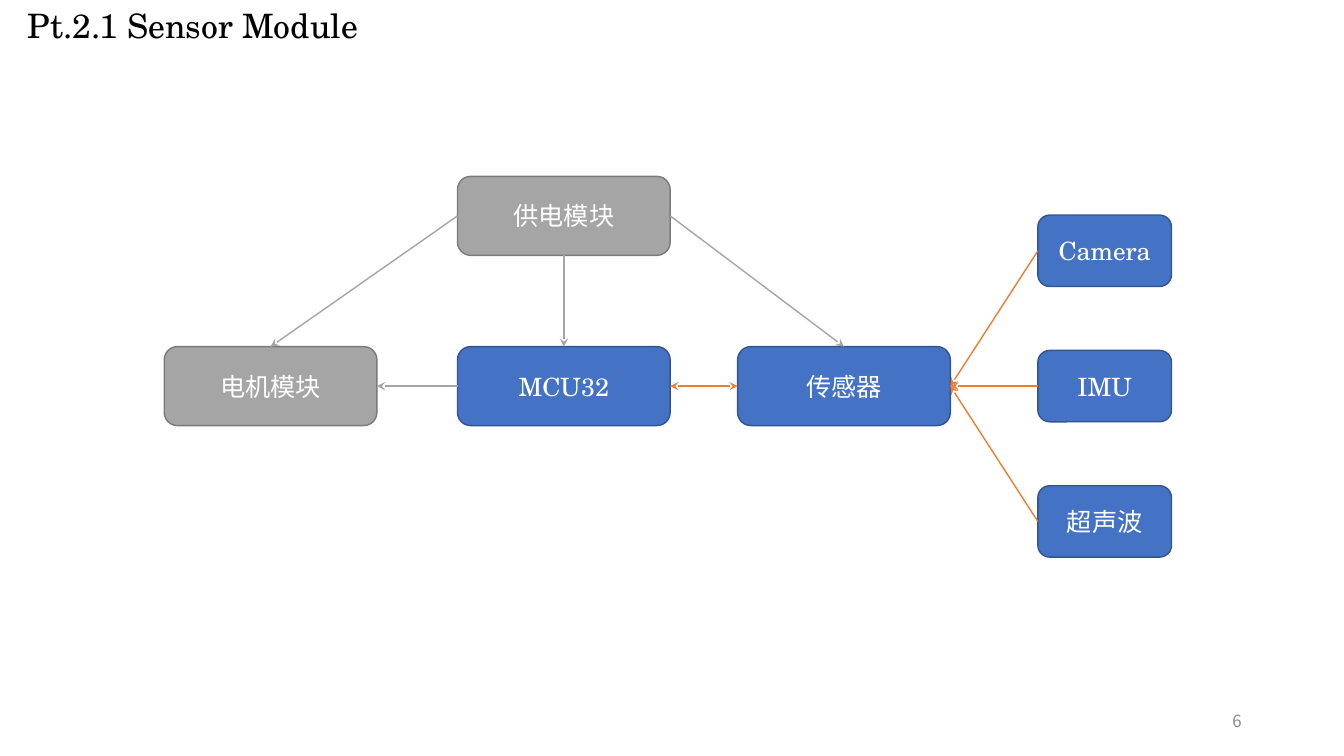
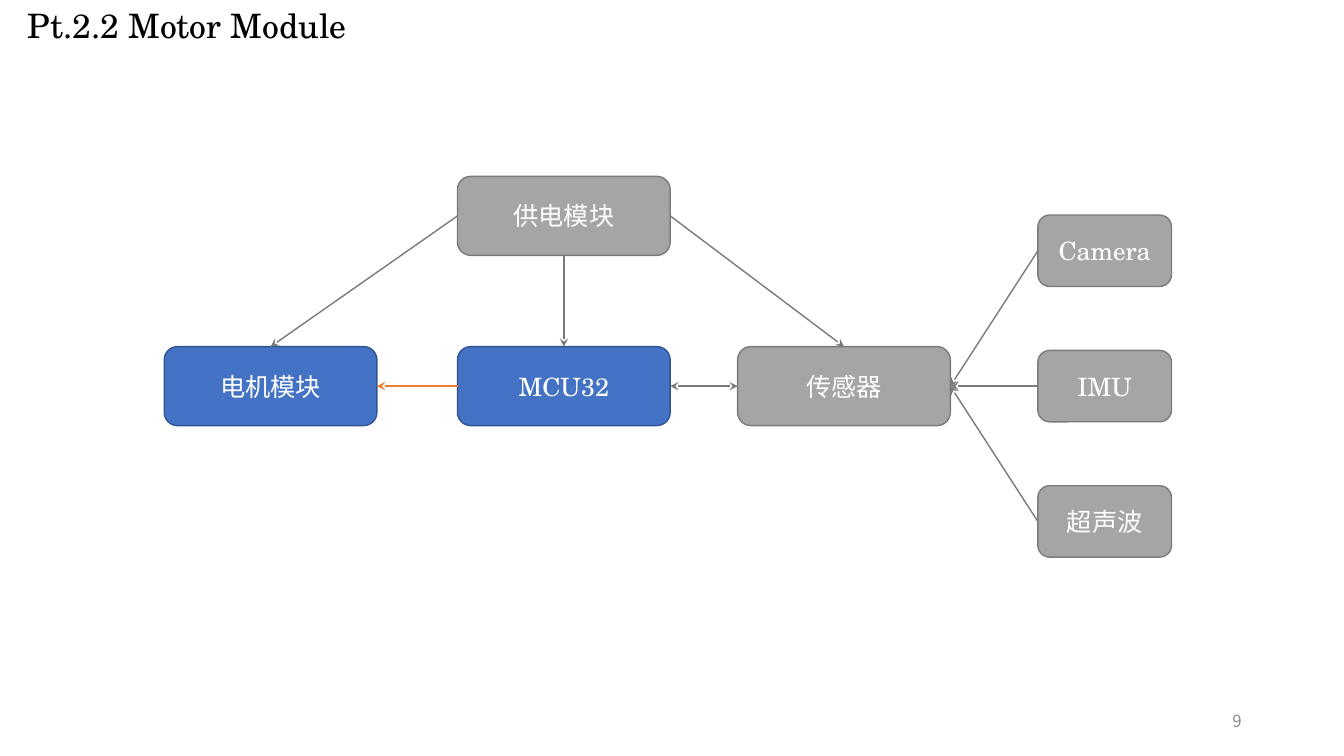
from lxml import etree
from pptx import Presentation
from pptx.dml.color import RGBColor
from pptx.enum import shapes, text
from pptx.oxml import ns
from pptx.util import Cm, Pt

# Shared look
BLUE = RGBColor(0x44, 0x72, 0xC4)
NAVY = RGBColor(0x32, 0x54, 0x91)
GREY = RGBColor(0xA5, 0xA5, 0xA5)
DARK = RGBColor(0x7A, 0x7A, 0x7A)
ORANGE = RGBColor(0xED, 0x7D, 0x31)
WHITE = RGBColor(0xFF, 0xFF, 0xFF)
BLACK = RGBColor(0x00, 0x00, 0x00)
PALE = RGBColor(0x8C, 0x8C, 0x8C)
SERIF = "TeX Gyre Schola"
SANS = "Noto Sans CJK SC"

# Connection sites of a rounded box
TOP, LEFT, BOTTOM, RIGHT = range(4)

# Box sizes and centre lines, in cm
BIG = (5.36, 1.99)
SMALL = (3.37, 1.8)
MID = 9.73
STEP = 3.41
CORE_X, PART_X = 14.21, 27.84

# Name: label, centre x, centre y, size
BOXES = {
    "core": ("MCU32", CORE_X, MID, BIG),
    "motor": ("电机模块", 6.82, MID, BIG),
    "power": ("供电模块", CORE_X, 5.44, BIG),
    "sensor": ("传感器", 21.27, MID, BIG),
    "camera": ("Camera", PART_X, MID - STEP, SMALL),
    "imu": ("IMU", PART_X, MID, SMALL),
    "sonar": ("超声波", PART_X, MID + STEP, SMALL),
}

# Start box and site, end box and site
LINKS = [
    ("power", LEFT, "motor", TOP),
    ("power", BOTTOM, "core", TOP),
    ("power", RIGHT, "sensor", TOP),
    ("core", LEFT, "motor", RIGHT),
    ("core", RIGHT, "sensor", LEFT),
    ("camera", LEFT, "sensor", RIGHT),
    ("imu", LEFT, "sensor", RIGHT),
    ("sonar", LEFT, "sensor", RIGHT),
]
TWO_WAY = {("core", "sensor")}

# Title, page, lit boxes, colour of the other arrows
PAGES = [
    ("Pt.2.1 Sensor Module", "6",
     {"core", "sensor", "camera", "imu", "sonar"}, GREY),
    ("Pt.2.2 Motor Module", "9", {"core", "motor"}, DARK),
]


def set_text(shape, words, size, color, align, font=SERIF):
    """Put one styled paragraph into a shape."""
    frame = shape.text_frame
    frame.word_wrap = True
    frame.text = words
    para = frame.paragraphs[0]
    para.alignment = align
    para.font.name = font
    para.font.size = Pt(size)
    para.font.color.rgb = color
    # Font for Chinese characters
    props = para._p.pPr.find(ns.qn("a:defRPr"))
    etree.SubElement(props, ns.qn("a:ea"), typeface=SANS)
    return frame


def add_title(slide, words):
    title = slide.shapes.title
    title.left, title.top = Cm(0), Cm(0)
    title.width, title.height = Cm(21.06), Cm(1.28)
    frame = set_text(title, words, 24, BLACK, text.PP_ALIGN.LEFT)
    frame.auto_size = text.MSO_AUTO_SIZE.NONE
    frame.vertical_anchor = text.MSO_ANCHOR.TOP
    frame.margin_left = Cm(0.7)


def add_page(slide, number):
    box = slide.shapes.add_textbox(Cm(23.92), Cm(17.66), Cm(7.62), Cm(1.01))
    frame = set_text(box, number, 12, PALE, text.PP_ALIGN.RIGHT, SANS)
    frame.vertical_anchor = text.MSO_ANCHOR.MIDDLE


def add_box(slide, label, x, y, size, lit):
    """Add a rounded box centred on x, y."""
    wide, high = size
    box = slide.shapes.add_shape(
        shapes.MSO_SHAPE.ROUNDED_RECTANGLE,
        Cm(x - wide / 2), Cm(y - high / 2), Cm(wide), Cm(high))
    box.shadow.inherit = False
    box.fill.solid()
    box.fill.fore_color.rgb = BLUE if lit else GREY
    box.line.color.rgb = NAVY if lit else DARK
    box.line.width = Pt(1)
    frame = set_text(box, label, 18, WHITE, text.PP_ALIGN.CENTER)
    frame.vertical_anchor = text.MSO_ANCHOR.MIDDLE
    return box


def add_arrow(slide, start, site, end, goal, color, both):
    """Join two boxes with an arrow, pointed at both ends if asked."""
    line = slide.shapes.add_connector(
        shapes.MSO_CONNECTOR.STRAIGHT, 0, 0, 0, 0)
    line.begin_connect(start, site)
    line.end_connect(end, goal)
    line.line.color.rgb = color
    line.line.width = Pt(1)
    props = line._element.spPr
    stroke = props.find(ns.qn("a:ln"))
    for tip in ("headEnd", "tailEnd") if both else ("tailEnd",):
        etree.SubElement(stroke, ns.qn("a:" + tip), type="stealth")
    etree.SubElement(props, ns.qn("a:effectLst"))


def add_chain(slide, lit, plain):
    """Draw the module diagram; arrows between lit boxes are orange."""
    boxes = {name: add_box(slide, *data, name in lit)
             for name, data in BOXES.items()}
    for start, site, end, goal in LINKS:
        color = ORANGE if {start, end} <= lit else plain
        add_arrow(slide, boxes[start], site, boxes[end], goal, color,
                  (start, end) in TWO_WAY)


def main():
    deck = Presentation()
    deck.slide_width, deck.slide_height = Cm(33.87), Cm(19.05)
    layout = deck.slide_layouts.get_by_name("Title Only")
    for title, number, lit, plain in PAGES:
        slide = deck.slides.add_slide(layout)
        add_title(slide, title)
        add_chain(slide, lit, plain)
        add_page(slide, number)
    deck.save("out.pptx")


if __name__ == "__main__":
    main()
